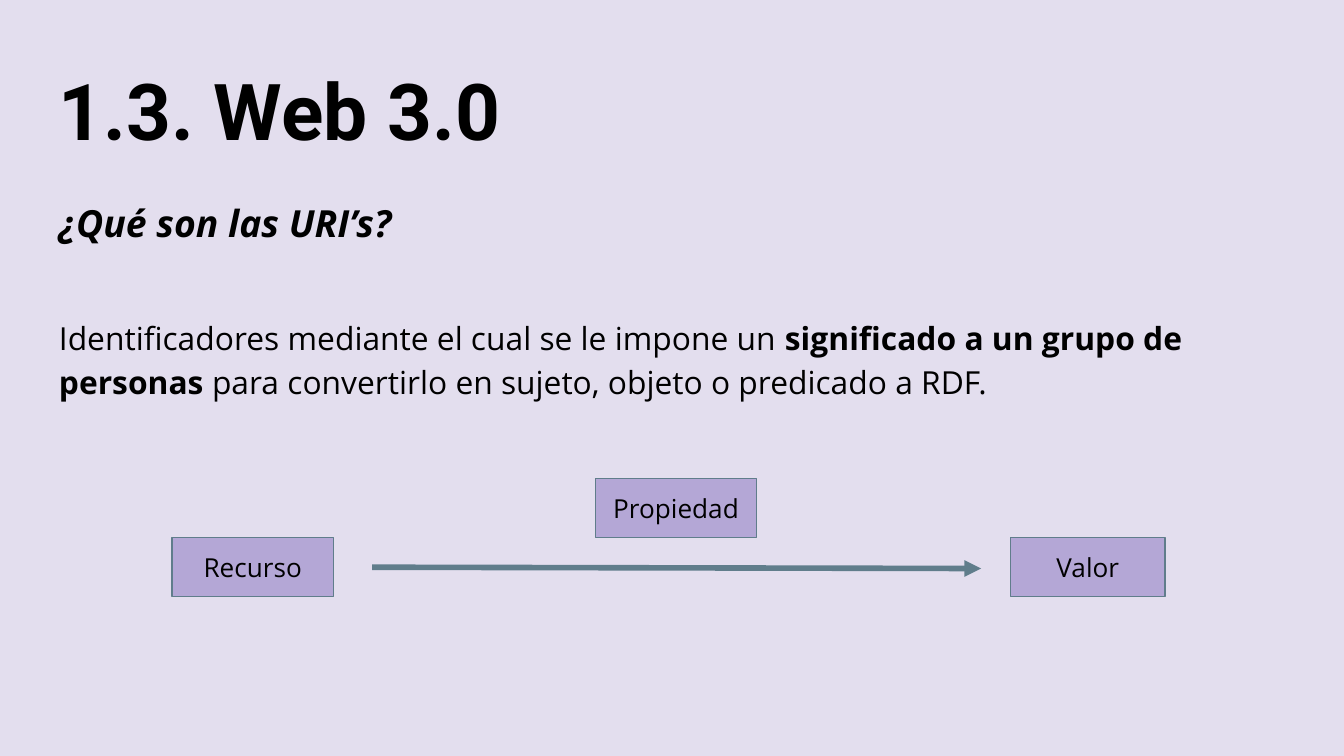
from lxml.etree import SubElement
from pptx import Presentation
from pptx.dml.color import RGBColor
from pptx.enum.shapes import MSO_CONNECTOR, MSO_SHAPE
from pptx.enum.text import MSO_ANCHOR, PP_ALIGN
from pptx.oxml.ns import qn
from pptx.util import Pt

INK, SLATE, LILAC, PALE = "000000", "607D8B", "B4A7D6", "E3DEEE"


def color(code):
    return RGBColor.from_string(code)


def style(run, font, size, bold=False, italic=False):
    face = run.font
    face.name, face.size = font, Pt(size)
    face.bold, face.italic = bold, italic
    face.color.rgb = color(INK)


def set_frame(frame, anchor):
    frame.word_wrap = True
    frame.vertical_anchor = anchor
    frame.margin_left = frame.margin_right = Pt(7.2)
    frame.margin_top = frame.margin_bottom = Pt(7.2)


def add_text(slide, top, height, anchor):
    box = slide.shapes.add_textbox(Pt(24.5), Pt(top), Pt(671), Pt(height))
    set_frame(box.text_frame, anchor)
    return box.text_frame


def add_title(slide, text):
    frame = add_text(slide, 25.2, 65.5, MSO_ANCHOR.BOTTOM)
    frame.text = text
    style(frame.paragraphs[0].runs[0], "Roboto", 42, bold=True)


def add_body(slide, head, parts):
    """Write a heading and a paragraph of (text, bold) parts."""
    frame = add_text(slide, 96.5, 264, MSO_ANCHOR.TOP)
    frame.text = head
    first = frame.paragraphs[0]
    style(first.runs[0], "Open Sans", 20, bold=True, italic=True)
    para = frame.add_paragraph()
    para.space_before = Pt(36.5)
    for text, bold in parts:
        run = para.add_run()
        run.text = text
        style(run, "Open Sans", 17, bold)
    first.line_spacing = para.line_spacing = 1.15


def add_node(slide, text, left, top, width):
    node = slide.shapes.add_shape(
        MSO_SHAPE.RECTANGLE, Pt(left), Pt(top), Pt(width), Pt(31.7))
    node.shadow.inherit = False
    node.fill.solid()
    node.fill.fore_color.rgb = color(LILAC)
    node.line.color.rgb = color(SLATE)
    node.line.width = Pt(0.75)
    frame = node.text_frame
    set_frame(frame, MSO_ANCHOR.MIDDLE)
    frame.text = text
    para = frame.paragraphs[0]
    para.alignment = PP_ALIGN.CENTER
    style(para.runs[0], "Open Sans", 14)


def add_arrow(slide, start, end):
    arrow = slide.shapes.add_connector(
        MSO_CONNECTOR.STRAIGHT, *(Pt(n) for n in start + end))
    arrow.line.color.rgb = color(SLATE)
    arrow.line.width = Pt(3)
    SubElement(arrow.line._get_or_add_ln(), qn("a:tailEnd"), type="triangle")
    SubElement(arrow._element.spPr, qn("a:effectLst"))


def main():
    deck = Presentation()
    deck.slide_width, deck.slide_height = Pt(720), Pt(405)
    slide = deck.slides.add_slide(deck.slide_layouts[6])
    slide.background.fill.solid()
    slide.background.fill.fore_color.rgb = color(PALE)

    add_title(slide, "1.3. Web 3.0")
    add_body(slide, "¿Qué son las URI’s?", [
        ("Identificadores mediante el cual se le impone un ", False),
        ("significado a un grupo de personas ", True),
        ("para convertirlo en sujeto, objeto o predicado a RDF.", False),
    ])
    for text, left, top, width in [
        ("Recurso", 92.2, 288, 86.4),
        ("Propiedad", 319, 256.3, 86.4),
        ("Valor", 541.4, 288, 82.8),
    ]:
        add_node(slide, text, left, top, width)
    add_arrow(slide, (199.4, 303.9), (525.6, 304.6))
    deck.save("out.pptx")


if __name__ == "__main__":
    main()
